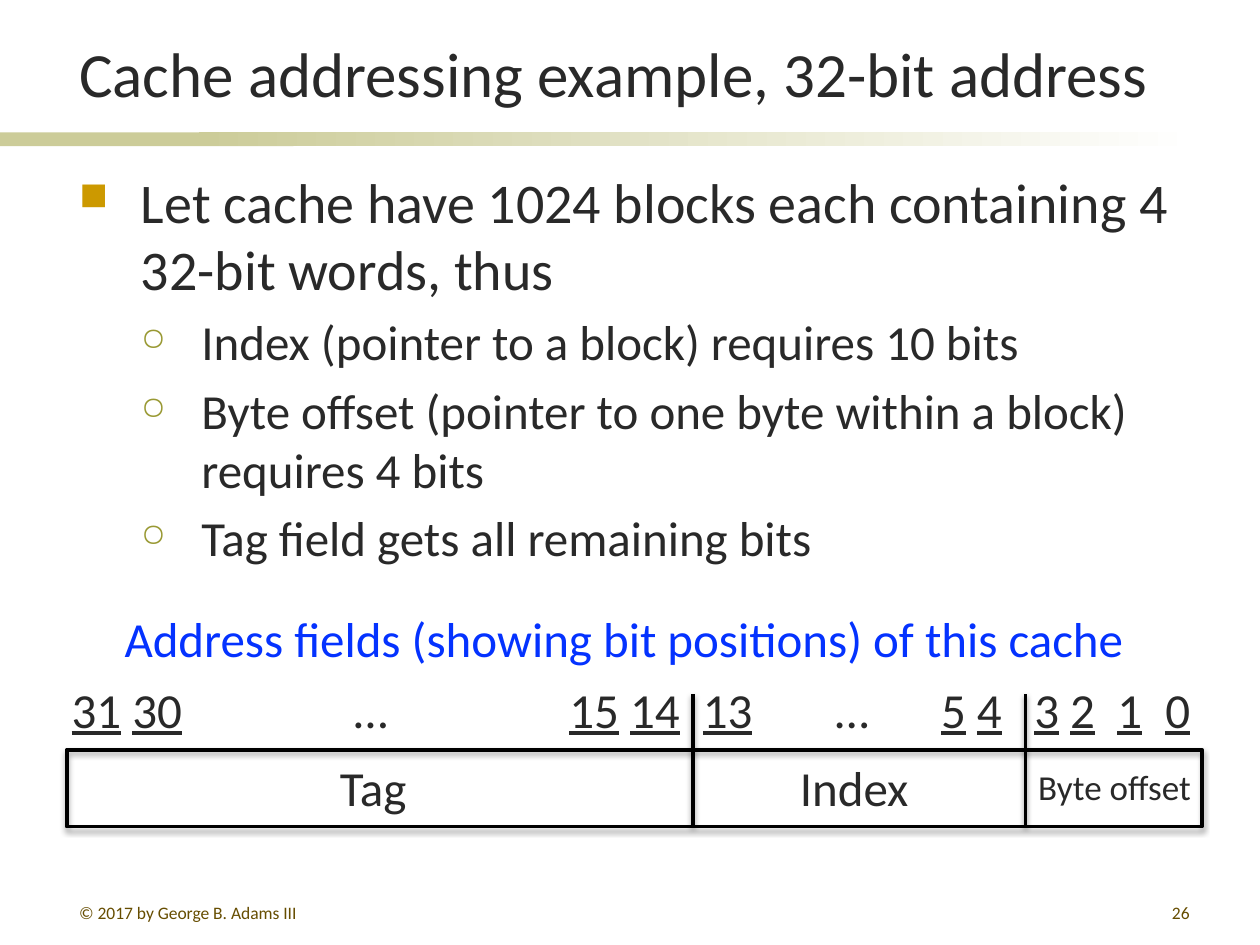
from lxml import etree
from pptx import Presentation
from pptx.dml.color import RGBColor
from pptx.enum import shapes, text
from pptx.oxml.ns import qn
from pptx.util import Inches, Pt

INK, BLACK, SAND, BLUE, BROWN = "292929", "000000", "CCCC99", "0432FF", "664D00"
FIELD_LEFT, FIELD_TOP, FIELD_WIDTH, FIELD_HEIGHT = 0.53, 5.95, 9.01, 0.61
DIVIDER_TOP, DIVIDERS = 5.51, (5.5, 8.14)

# Bit labels with the tab position (inches) where each group starts
BIT_LABELS = [("31 30", 0), ("…", 2.24), ("15 14", 3.95), ("13", 5.01), ("…", 6.06),
              ("5 4", 6.9), ("3 2", 7.64), ("1", 8.3), ("0", 8.68)]

# Bullet character, colour, size in percent, left margin, hanging indent, text size
BULLET_LEVELS = [("■", "CC9900", 70, 0.49, 0.49, 32),
                 ("○", "999933", 65, 0.97, 0.48, 28)]
BODY = [(0, "Let cache have 1024 blocks each containing 4 32-bit words, thus"),
        (1, "Index (pointer to a block) requires 10 bits"),
        (1, "Byte offset (pointer to one byte within a block) requires 4 bits"),
        (1, "Tag field gets all remaining bits")]


def rgb(hex_colour):
    return RGBColor.from_string(hex_colour)


def add_xml(parent, tag, **attributes):
    values = {name: str(value) for name, value in attributes.items()}
    return etree.SubElement(parent, qn(tag), values)


def add_run(paragraph, words, size, colour=INK, underline=None):
    run = paragraph.add_run()
    run.text = words
    formats = {"name": "Calibri", "size": Pt(size), "underline": underline}
    for name, value in formats.items():
        setattr(run.font, name, value)
    run.font.color.rgb = rgb(colour)


def add_frame(slide, left, top, width, height, **formats):
    box = slide.shapes.add_textbox(Inches(left), Inches(top), Inches(width), Inches(height))
    frame = box.text_frame
    for name, value in {"word_wrap": True, **formats}.items():
        setattr(frame, name, value)
    return frame


def add_text(slide, words, place, size, colour=INK, align=None, **formats):
    paragraph = add_frame(slide, *place, **formats).paragraphs[0]
    paragraph.alignment = align
    add_run(paragraph, words, size, colour)
    return paragraph


def add_shadow(shape, opacity, distance):
    effects = add_xml(shape._element.spPr, "a:effectLst")
    shadow = add_xml(effects, "a:outerShdw", blurRad=Pt(3.1), dist=Pt(distance),
                     dir=90 * 60000, rotWithShape=0)
    colour = add_xml(shadow, "a:srgbClr", val=BLACK)
    add_xml(colour, "a:alpha", val=opacity * 1000)


def add_band(slide, left, width, end_colour=None):
    """Title rule segment, fading to end_colour if one is given."""
    band = slide.shapes.add_shape(shapes.MSO_SHAPE.RECTANGLE, Inches(left), Inches(1.05),
                                  Inches(width), Inches(0.11))
    band.shadow.inherit = False
    band.line.fill.background()
    if end_colour is None:
        band.fill.solid()
        band.fill.fore_color.rgb = rgb(SAND)
        return
    band.fill.gradient()
    band.fill.gradient_angle = 0
    for stop, colour in zip(band.fill.gradient_stops, (SAND, end_colour)):
        stop.color.rgb = rgb(colour)


def add_body(slide):
    frame = add_frame(slide, 0.53, 1.28, 9.02, 5.39)
    for number, (level, words) in enumerate(BODY):
        mark, colour, percent, margin, hanging, size = BULLET_LEVELS[level]
        paragraph = frame.add_paragraph() if number else frame.paragraphs[0]
        paragraph.level = level
        properties = paragraph._p.get_or_add_pPr()
        properties.set("marL", str(Inches(margin)))
        properties.set("indent", str(-Inches(hanging)))
        add_xml(add_xml(properties, "a:spcBef"), "a:spcPct", val=20000)
        add_xml(add_xml(properties, "a:buClr"), "a:srgbClr", val=colour)
        add_xml(properties, "a:buSzPct", val=percent * 1000)
        add_xml(properties, "a:buChar", char=mark)
        add_run(paragraph, words, size)


def add_bit_labels(slide):
    paragraph = add_frame(slide, 0.47, 5.34, 9.22, 0.57).paragraphs[0]
    stops = add_xml(paragraph._p.get_or_add_pPr(), "a:tabLst")
    for label, position in BIT_LABELS:
        if position:
            add_xml(stops, "a:tab", pos=Inches(position), algn="l")
            add_run(paragraph, "\t", 28)
        for number, bit in enumerate(label.split()):
            if number:
                add_run(paragraph, " ", 28)
            add_run(paragraph, bit, 28, underline=bit.isdigit())


def add_address_box(slide):
    box = slide.shapes.add_shape(shapes.MSO_SHAPE.RECTANGLE, Inches(FIELD_LEFT),
                                 Inches(FIELD_TOP), Inches(FIELD_WIDTH), Inches(FIELD_HEIGHT))
    box.fill.background()
    box.line.color.rgb = rgb(BLACK)
    box.line.width = Pt(2.25)
    add_shadow(box, 35, 1.8)


def add_divider(slide, x):
    divider = slide.shapes.add_connector(shapes.MSO_CONNECTOR.STRAIGHT, Inches(x),
                                         Inches(DIVIDER_TOP), Inches(x),
                                         Inches(FIELD_TOP + FIELD_HEIGHT))
    divider.line.color.rgb = rgb(BLACK)
    divider.line.width = Pt(2)
    add_shadow(divider, 38, 1.6)


def main():
    deck = Presentation()
    deck.slide_width, deck.slide_height = Inches(10), Inches(7.5)
    slide = deck.slides.add_slide(deck.slide_layouts[6])

    add_band(slide, 0, 2.33)
    add_band(slide, 1.58, 7.92, "FFFFFF")
    add_text(slide, "Cache addressing example, 32-bit address", (0.53, 0.11, 9.01, 0.81), 36,
             vertical_anchor=text.MSO_ANCHOR.BOTTOM)
    add_body(slide)

    add_address_box(slide)
    add_bit_labels(slide)
    for x in DIVIDERS:
        add_divider(slide, x)
    add_text(slide, "Tag", (2.6, 5.96, 0.77, 0.57), 28, word_wrap=False)
    add_text(slide, "Index", (6.25, 5.96, 1.08, 0.57), 28, word_wrap=False)
    offset = add_text(slide, "Byte offset", (8.24, 6.12, 1.23, 0.29), 20, word_wrap=False,
                      margin_left=0, margin_right=0, margin_top=0, margin_bottom=0)
    offset.line_spacing = Pt(20.6)
    add_text(slide, "Address fields (showing bit positions) of this cache",
             (0.89, 4.78, 8.23, 0.57), 28, BLUE, word_wrap=False)

    add_text(slide, "© 2017 by George B. Adams III", (0.53, 7.11, 2.17, 0.21), 10, BROWN)
    add_text(slide, "26", (7.46, 7.11, 2.08, 0.21), 10, BROWN, text.PP_ALIGN.RIGHT)
    deck.save("out.pptx")


if __name__ == "__main__":
    main()
